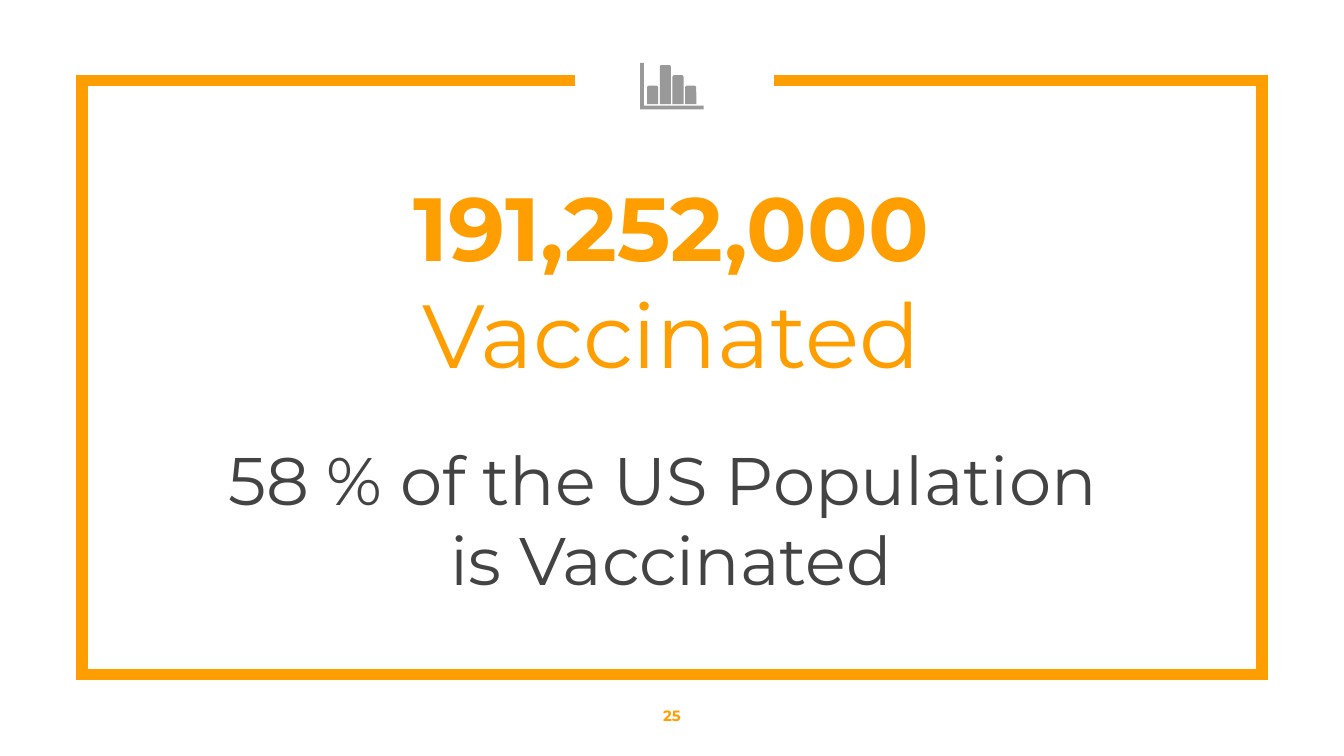
from pptx import Presentation
from pptx.dml.color import RGBColor
from pptx.enum.shapes import MSO_SHAPE as Shape
from pptx.enum.text import MSO_ANCHOR as Anchor, PP_ALIGN as Align
from pptx.oxml.ns import qn
from pptx.util import Cm, Pt
from lxml.etree import SubElement

ORANGE = RGBColor(0xFF, 0x9E, 0x00)
GREY = RGBColor(0x99, 0x99, 0x99)
DARK = RGBColor(0x43, 0x43, 0x43)
FONT = "Montserrat"


def add_outline(slide, points, close):
    """Add a freeform through points given in centimetres."""
    corners = [(Cm(x), Cm(y)) for x, y in points]
    builder = slide.shapes.build_freeform(*corners[0])
    builder.add_line_segments(corners[1:], close=close)
    shape = builder.convert_to_shape()
    shape.shadow.inherit = False
    return shape


def fill_plain(shape, color):
    shape.shadow.inherit = False
    shape.fill.solid()
    shape.fill.fore_color.rgb = color
    shape.line.fill.background()


def add_frame(slide):
    left, top, right, bottom = 1.55, 1.52, 23.85, 12.75
    gap_left, gap_right = 10.87, 14.63
    frame = add_outline(slide, [(gap_left, top), (left, top), (left, bottom),
                                (right, bottom), (right, top), (gap_right, top)], close=False)
    frame.fill.background()
    frame.line.color.rgb = ORANGE
    frame.line.width = Pt(6)
    # Square corners
    SubElement(frame.line._get_or_add_ln(), qn("a:miter"), lim="800000")


def add_chart_icon(slide):
    # L-shaped axis
    left, top, right, bottom, thickness = 12.1, 1.19, 13.3, 2.07, 0.07
    axis = add_outline(slide, [(left, top), (left + thickness, top),
                               (left + thickness, bottom - thickness),
                               (right, bottom - thickness), (right, bottom),
                               (left, bottom)], close=True)
    fill_plain(axis, GREY)

    # Bars with rounded tops
    base, pitch, width = 1.97, 0.24, 0.21
    for index, height in enumerate((0.35, 0.74, 0.55, 0.35)):
        bar = slide.shapes.add_shape(Shape.ROUND_2_SAME_RECTANGLE,
                                     Cm(12.23 + index * pitch), Cm(base - height),
                                     Cm(width), Cm(height))
        fill_plain(bar, GREY)


def add_text(slide, box, text, size, color, anchor=Anchor.MIDDLE, margins=(0, 0)):
    """Add centred text; box and margins (horizontal, vertical) in centimetres."""
    text_frame = slide.shapes.add_textbox(*(Cm(value) for value in box)).text_frame
    text_frame.word_wrap = True
    text_frame.vertical_anchor = anchor
    text_frame.margin_left = text_frame.margin_right = Cm(margins[0])
    text_frame.margin_top = text_frame.margin_bottom = Cm(margins[1])
    text_frame.text = text
    for paragraph in text_frame.paragraphs:
        paragraph.alignment = Align.CENTER
        for run in paragraph.runs:
            run.font.name = FONT
            run.font.size = Pt(size)
            run.font.color.rgb = color
    return text_frame


def main():
    presentation = Presentation()
    presentation.slide_width = Cm(25.4)
    presentation.slide_height = Cm(14.29)
    slide = presentation.slides.add_slide(presentation.slide_layouts[6])

    # Frame and slide number
    add_frame(slide)
    number = add_text(slide, (0, 12.75, 25.4, 1.54), "25", 8, ORANGE, margins=(0.25, 0.25))
    number.paragraphs[0].runs[0].font.bold = True

    # Headline figure, with a line break before its label
    title = add_text(slide, (4.83, 3.66, 15.72, 3.23), "191,252,000\vVaccinated", 48, ORANGE)
    title.paragraphs[0].runs[0].font.bold = True

    add_chart_icon(slide)

    # Share of the population
    add_text(slide, (1.63, 8.15, 22.12, 3.33),
             "58 % of the US Population \nis Vaccinated", 36, DARK,
             anchor=Anchor.TOP, margins=(0.25, 0.13))

    presentation.save("out.pptx")


if __name__ == "__main__":
    main()
